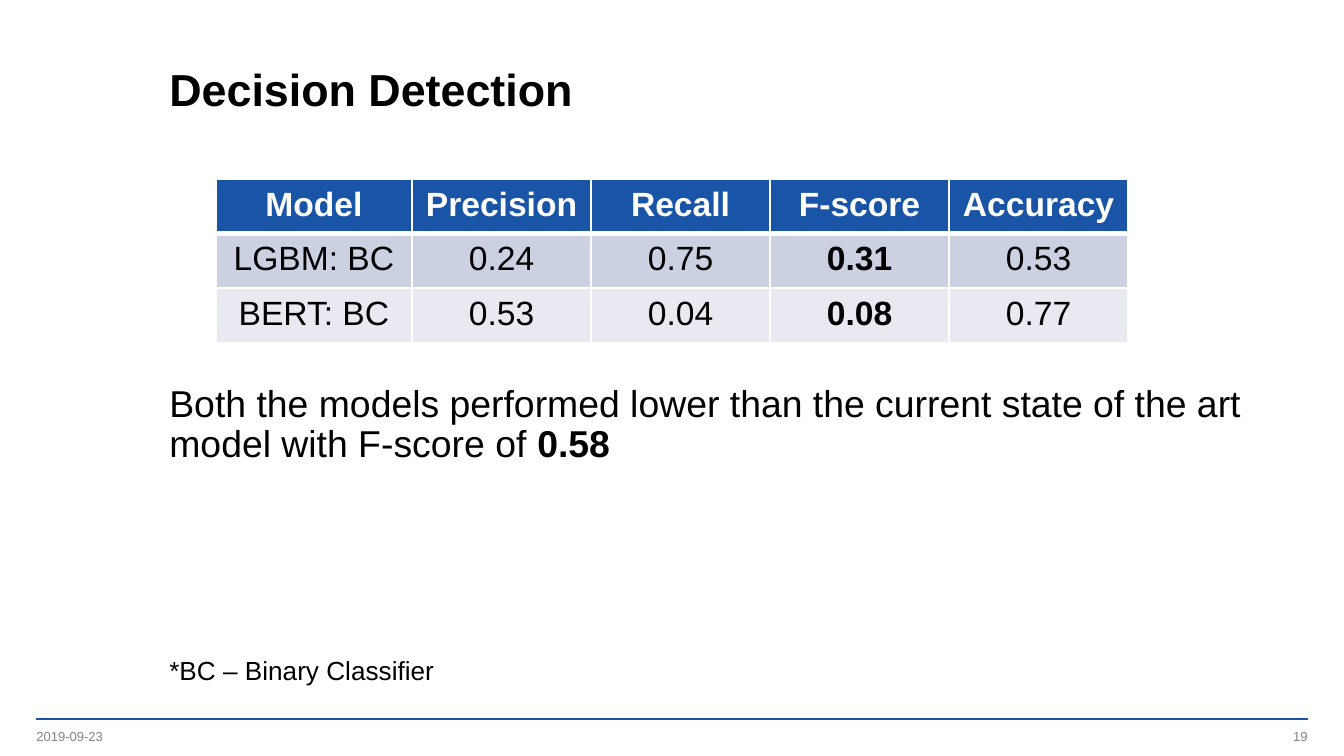
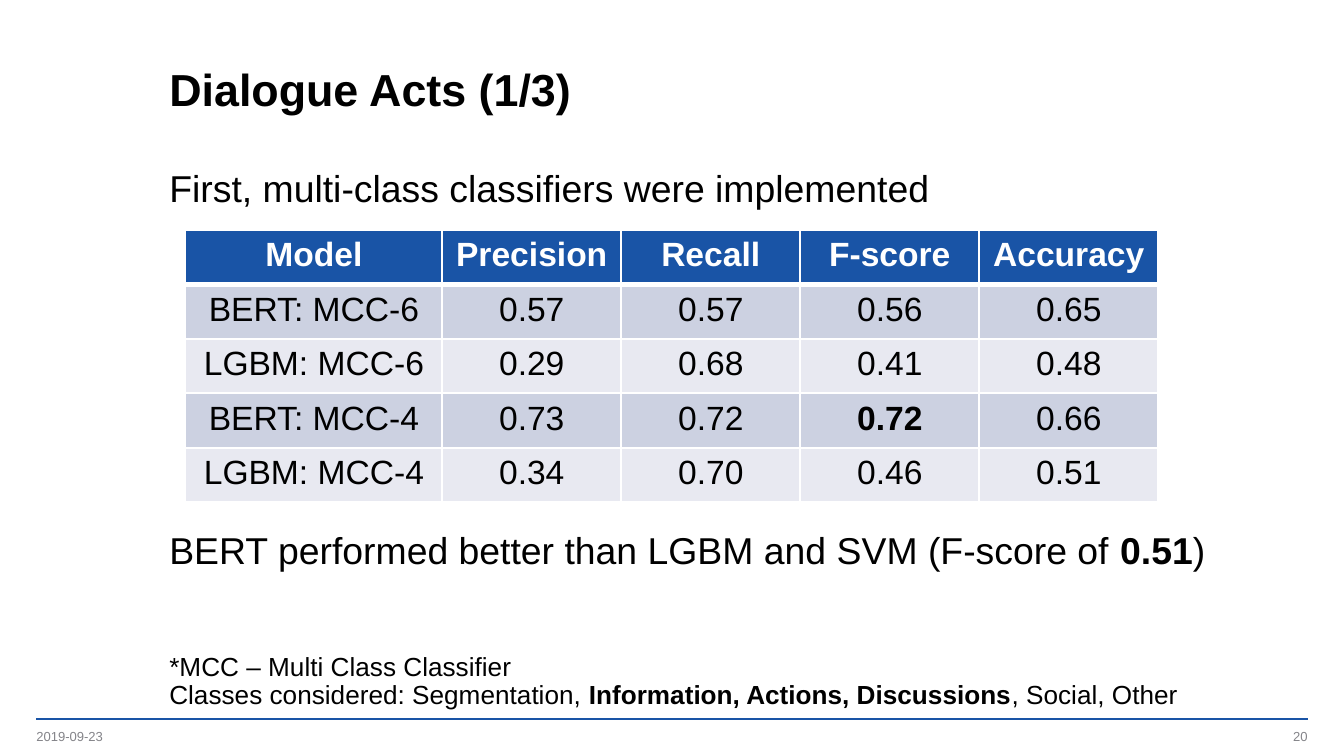
from collections import namedtuple

from lxml.etree import SubElement
from pptx import Presentation
from pptx.dml.color import RGBColor
from pptx.enum.shapes import MSO_CONNECTOR as Connector
from pptx.enum.text import MSO_ANCHOR as Anchor, MSO_AUTO_SIZE as AutoSize, PP_ALIGN as Align
from pptx.oxml.ns import qn
from pptx.util import Pt

Box = namedtuple("Box", "left top width height")
Line = namedtuple("Line", "size space_before runs")

FONT = "Arial"
BLUE, BLACK, WHITE, GREY = "1954A6", "000000", "FFFFFF", "848489"
BANDS = ("CCD1E1", "E8E9F1")

PAGE = Box(0, 0, 720, 405)
TITLE = Box(83.5, 20.2, 594.7, 53.3)
BODY = Box(83.5, 87.8, 595.4, 284.4)
FOOTER = Box(19.5, 385.2, 681, 13.7)

HEADINGS = ("Model", "Precision", "Recall", "F-score", "Accuracy")
SCORE_WIDTH = 95.9
ROW_HEIGHT = 29.2


def color(hex_string):
    return RGBColor.from_string(hex_string)


def place(shape, box):
    shape.left, shape.top, shape.width, shape.height = (Pt(length) for length in box)


def add_run(paragraph, text, size, hex_string=BLACK, bold=False):
    run = paragraph.add_run()
    run.text = text
    run.font.name = FONT
    run.font.size = Pt(size)
    run.font.bold = bold
    run.font.color.rgb = color(hex_string)


def add_title(slide, box, text):
    title = slide.shapes.title
    place(title, box)
    frame = title.text_frame
    frame.auto_size = AutoSize.NONE
    frame.vertical_anchor = Anchor.MIDDLE
    paragraph = frame.paragraphs[0]
    paragraph.alignment = Align.LEFT
    paragraph.line_spacing = Pt(30)
    add_run(paragraph, text, 24, bold=True)


def remove_bullet(paragraph):
    properties = paragraph._p.get_or_add_pPr()
    properties.set("marL", "0")
    properties.set("indent", "0")
    SubElement(properties, qn("a:buNone"))


def add_body(slide, box, top_margin, lines):
    body = slide.placeholders[1]
    place(body, box)
    frame = body.text_frame
    frame.word_wrap = True
    frame.auto_size = AutoSize.NONE
    frame.vertical_anchor = Anchor.TOP
    frame.margin_top = Pt(top_margin)
    for index, line in enumerate(lines):
        paragraph = frame.add_paragraph() if index else frame.paragraphs[0]
        paragraph.line_spacing = 0.9
        paragraph.space_before = Pt(line.space_before)
        paragraph.space_after = Pt(0)
        remove_bullet(paragraph)
        for text, bold in line.runs:
            add_run(paragraph, text, line.size, bold=bold)


def add_borders(cell, top, bottom):
    properties = cell._tc.get_or_add_tcPr()
    widths = {"a:lnL": 1, "a:lnR": 1, "a:lnT": top, "a:lnB": bottom}
    for position, (tag, width) in enumerate(widths.items()):
        border = SubElement(properties, qn(tag), w=str(Pt(width)))
        fill = SubElement(border, qn("a:solidFill"))
        SubElement(fill, qn("a:srgbClr"), val=WHITE)
        properties.insert(position, border)


def add_score_table(slide, box, top, model_width, scores, bold_cells):
    rows = [HEADINGS, *scores]
    widths = [model_width] + [SCORE_WIDTH] * (len(HEADINGS) - 1)
    left = box.left + (box.width - sum(widths)) / 2
    frame = slide.shapes.add_table(
        len(rows), len(widths), Pt(left), Pt(box.top + top),
        Pt(sum(widths)), Pt(ROW_HEIGHT * len(rows)))
    table = frame.table
    table.horz_banding = False
    for column, width in zip(table.columns, widths):
        column.width = Pt(width)
    for row_index, row in enumerate(rows):
        table.rows[row_index].height = Pt(ROW_HEIGHT)
        header = row_index == 0
        for column_index, text in enumerate(row):
            cell = table.cell(row_index, column_index)
            cell.fill.solid()
            cell.fill.fore_color.rgb = color(BLUE if header else BANDS[(row_index - 1) % 2])
            add_borders(cell, 3 if row_index == 1 else 1, 3 if header else 1)
            paragraph = cell.text_frame.paragraphs[0]
            paragraph.alignment = Align.CENTER
            bold = header or (row_index, column_index) in bold_cells
            add_run(paragraph, text, 18, WHITE if header else BLACK, bold)


def add_footer(slide, box, date, number):
    rule = slide.shapes.add_connector(
        Connector.STRAIGHT, Pt(box.left), Pt(box.top), Pt(box.left + box.width), Pt(box.top))
    rule.line.color.rgb = color(BLUE)
    rule.line.width = Pt(1)
    SubElement(rule._element.spPr, qn("a:effectLst"))
    width, height = 162, 9.4
    right = box.left + box.width - width
    for text, left, alignment in ((date, box.left, Align.LEFT), (number, right, Align.RIGHT)):
        label = slide.shapes.add_textbox(
            Pt(left), Pt(box.top + box.height - height), Pt(width), Pt(height))
        frame = label.text_frame
        frame.word_wrap = True
        frame.vertical_anchor = Anchor.MIDDLE
        frame.margin_left = frame.margin_right = frame.margin_top = frame.margin_bottom = 0
        paragraph = frame.paragraphs[0]
        paragraph.alignment = alignment
        add_run(paragraph, text, 7, GREY)


def add_result_slide(presentation, title, number, top_margin, lines, table):
    slide = presentation.slides.add_slide(presentation.slide_layouts[1])
    add_title(slide, TITLE, title)
    add_body(slide, BODY, top_margin, lines)
    add_score_table(slide, PAGE, **table)
    add_footer(slide, FOOTER, "2019-09-23", number)


def main():
    presentation = Presentation()
    presentation.slide_width = Pt(PAGE.width)
    presentation.slide_height = Pt(PAGE.height)
    add_result_slide(
        presentation, "Decision Detection", "19", 118.6,
        [
            Line(20, 0, [
                ("Both the models performed lower than the current state of the art "
                 "model with F-score of ", False),
                ("0.58", True)]),
            Line(14, 103, [("*BC – Binary Classifier", False)]),
        ],
        dict(top=95.8, model_width=105.1, bold_cells={(1, 3), (2, 3)}, scores=[
            ("LGBM: BC", "0.24", "0.75", "0.31", "0.53"),
            ("BERT: BC", "0.53", "0.04", "0.08", "0.77"),
        ]))
    add_result_slide(
        presentation, "Dialogue Acts (1/3)", "20", 3.6,
        [
            Line(20, 0, [("First, multi-class classifiers were implemented", False)]),
            Line(20, 172, [
                ("BERT performed better than LGBM and SVM (F-score of ", False),
                ("0.51", True),
                (")", False)]),
            Line(14, 43.6, [("*MCC – Multi Class Classifier", False)]),
            Line(14, 0, [
                ("Classes considered: Segmentation, ", False),
                ("Information, Actions, Discussions", True),
                (", Social, Other", False)]),
        ],
        dict(top=123.1, model_width=137.5, bold_cells={(3, 3)}, scores=[
            ("BERT: MCC-6", "0.57", "0.57", "0.56", "0.65"),
            ("LGBM: MCC-6", "0.29", "0.68", "0.41", "0.48"),
            ("BERT: MCC-4", "0.73", "0.72", "0.72", "0.66"),
            ("LGBM: MCC-4", "0.34", "0.70", "0.46", "0.51"),
        ]))
    presentation.save("out.pptx")


if __name__ == "__main__":
    main()
